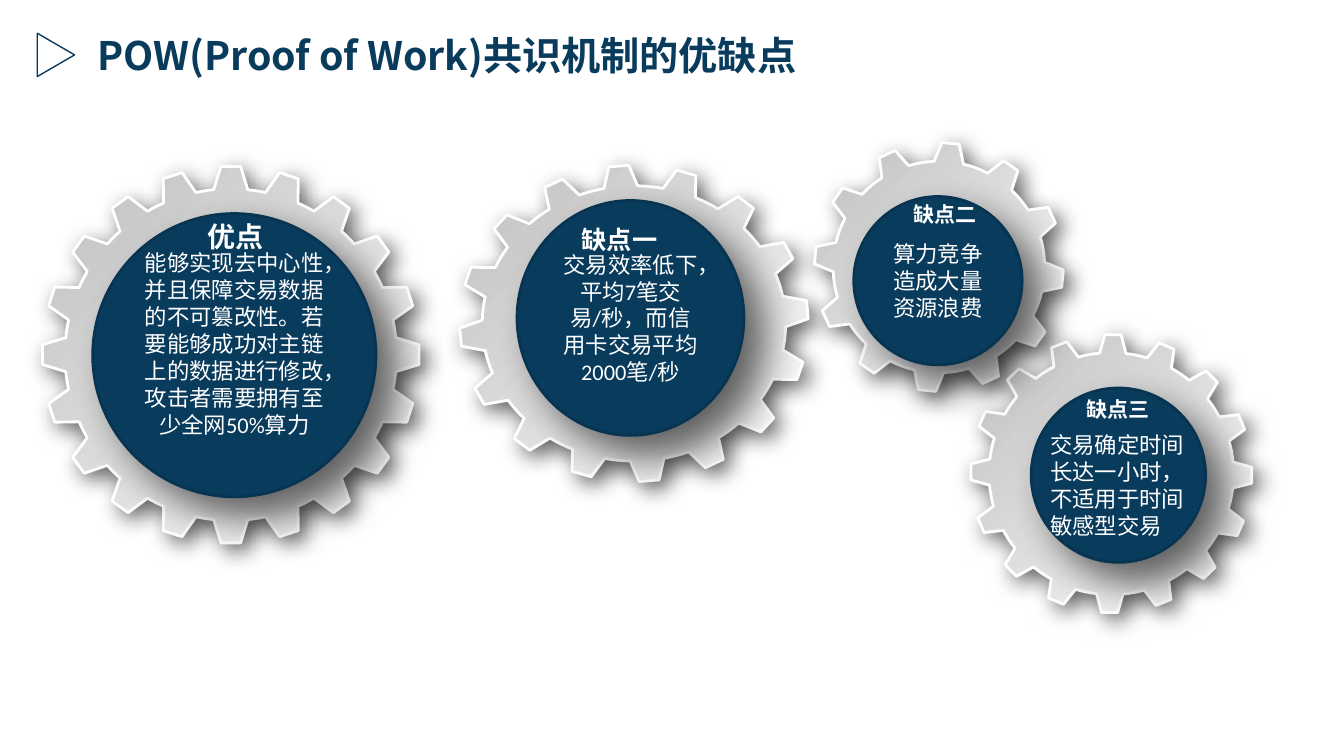
from dataclasses import dataclass
from math import cos, radians, sin

from lxml import etree
from pptx import Presentation
from pptx.dml.color import RGBColor
from pptx.enum.shapes import MSO_SHAPE
from pptx.enum.text import MSO_ANCHOR, MSO_AUTO_SIZE, PP_ALIGN
from pptx.oxml.ns import qn
from pptx.util import Inches, Pt

OVAL = MSO_SHAPE.OVAL
TRIANGLE = MSO_SHAPE.ISOSCELES_TRIANGLE
MIDDLE = MSO_ANCHOR.MIDDLE
GROW = MSO_AUTO_SIZE.SHAPE_TO_FIT_TEXT
LEFT = PP_ALIGN.LEFT
CENTER = PP_ALIGN.CENTER

COLUMNS = 160
SLIDE_WIDTH = Inches(13.33)
SLIDE_HEIGHT = Inches(7.5)
CELL = SLIDE_WIDTH / COLUMNS
ARC_STEPS = 4


@dataclass(frozen=True)
class Theme:
    navy: str = "093B5C"
    navy_edge: str = "083451"
    white: str = "FFFFFF"
    silver: str = "BFBFBF"
    black: str = "000000"
    body_font: str = "Calibri"
    heading_font: str = "Noto Sans CJK SC"
    title_size: int = 28
    body_size: int = 16


THEME = Theme()


@dataclass(frozen=True)
class Gear:
    center: tuple
    radii: tuple
    root_share: float
    teeth: int
    turn: float
    tip_half_angle: float
    root_half_angle: float


GEARS = (
    Gear((27.48, 42.24), (22.44, 22.44), 0.88, 20, 0, 3, 5.9),
    Gear((75.48, 38.52), (20.76, 18.84), 0.87, 16, -5, 3.3, 6.4),
    Gear((111.78, 31.8), (14.82, 14.82), 0.85, 12, 5.4, 4, 8),
    Gear((132.3, 56.4), (16.74, 16.56), 0.87, 16, 0.7, 3.3, 6.2),
)

DISKS = (
    ((11.04, 25.44, 33.72, 33.72), "能够实现去中心性，并且保障交易数据的不可篡改性。若要能够成功对主链上的数据进行修改，攻击者需要拥有至少全网50%算力", 0.28),
    ((61.56, 23.88, 27, 27.96), "交易效率低下，平均7笔交易/秒，而信用卡交易平均2000笔/秒", 0.05),
    ((101.64, 23.4, 20.04, 20.04), "算力竞争造成大量资源浪费", 0.05),
    ((122.76, 46.2, 20.76, 20.76), "", 0.05),
)

HEADINGS = (
    ((16.2, 25.56, 23.64, 5.28), "优点", 20),
    ((61.92, 26.16, 23.64, 4.8), "缺点一", 18),
    ((102.24, 23.4, 20.64, 4.2), "缺点二", 15),
    ((122.76, 46.68, 20.64, 4.2), "缺点三", 15),
)


def cells(*counts):
    return [round(count * CELL) for count in counts]


def color(value):
    return RGBColor.from_string(value)


def set_line(shape, value, width):
    shape.line.color.rgb = color(value)
    shape.line.width = Pt(width)


def set_shadow(shape, blur, distance):
    shape.shadow.inherit = False
    effects = shape.element.spPr.find(qn("a:effectLst"))
    shadow = etree.SubElement(
        effects, qn("a:outerShdw"), blurRad=str(Pt(blur)), dist=str(Pt(distance)),
        dir="2700000", algn="tl", rotWithShape="0")
    shade = etree.SubElement(shadow, qn("a:srgbClr"), val=THEME.black)
    etree.SubElement(shade, qn("a:alpha"), val="60000")


def write(shape, text, size, font_name, text_color, bold=False, alignment=CENTER):
    frame = shape.text_frame
    frame.word_wrap = True
    frame.text = text
    paragraph = frame.paragraphs[0]
    paragraph.alignment = alignment
    for run in paragraph.runs:
        run.font.size = Pt(size)
        run.font.bold = bold
        run.font.color.rgb = color(text_color)
        run.font.name = font_name
        etree.SubElement(run.font._element, qn("a:ea"), typeface=THEME.heading_font)


def gear_outline(gear):
    pitch = 360 / gear.teeth
    gap = pitch - 2 * gear.root_half_angle

    def point(angle, share):
        turn = radians(angle)
        return cells(gear.center[0] + gear.radii[0] * share * sin(turn),
                     gear.center[1] - gear.radii[1] * share * cos(turn))

    points = []
    for tooth in range(gear.teeth):
        middle = gear.turn + tooth * pitch
        points += [point(middle - gear.tip_half_angle, 1),
                   point(middle + gear.tip_half_angle, 1)]
        points += [point(middle + gear.root_half_angle + gap * step / ARC_STEPS, gear.root_share)
                   for step in range(ARC_STEPS + 1)]
    return points


def add_gear(slide, gear):
    points = gear_outline(gear)
    builder = slide.shapes.build_freeform(*points[0])
    builder.add_line_segments(points[1:], close=True)
    shape = builder.convert_to_shape()
    shape.fill.gradient()
    shape.fill.gradient_angle = 135
    for stop, value in zip(shape.fill.gradient_stops, (THEME.white, THEME.silver)):
        stop.color.rgb = color(value)
    set_line(shape, THEME.white, 2)
    set_shadow(shape, 16, 6)


def add_disk(slide, box, text, bottom_margin):
    shape = slide.shapes.add_shape(OVAL, *cells(*box))
    shape.fill.solid()
    shape.fill.fore_color.rgb = color(THEME.navy)
    set_line(shape, THEME.navy_edge, 2)
    set_shadow(shape, 30, 20)
    if text:
        shape.text_frame.vertical_anchor = MIDDLE
        shape.text_frame.margin_bottom = Inches(bottom_margin)
        write(shape, text, THEME.body_size, THEME.body_font, THEME.white)


def add_text(slide, box, text, size, font_name, text_color, bold, alignment):
    shape = slide.shapes.add_textbox(*cells(*box))
    shape.text_frame.auto_size = GROW
    write(shape, text, size, font_name, text_color, bold, alignment)


def add_title_marker(slide, box):
    shape = slide.shapes.add_shape(TRIANGLE, *cells(*box))
    shape.rotation = 90
    shape.fill.background()
    set_line(shape, THEME.navy, 1)
    shape.shadow.inherit = False


def main():
    presentation = Presentation()
    presentation.slide_width = SLIDE_WIDTH
    presentation.slide_height = SLIDE_HEIGHT
    slide = presentation.slides.add_slide(presentation.slide_layouts[6])
    for gear in GEARS:
        add_gear(slide, gear)
    for box, text, bottom_margin in DISKS:
        add_disk(slide, box, text, bottom_margin)
    for box, text, size in HEADINGS:
        add_text(slide, box, text, size, THEME.heading_font, THEME.white, True, CENTER)
    add_text(slide, (123.84, 50.76, 18.48, 14.16), "交易确定时间长达一小时，不适用于时间敏感型交易",
             THEME.body_size, THEME.body_font, THEME.white, False, LEFT)
    add_text(slide, (10.44, 3.12, 97.08, 6.84), "POW(Proof of Work)共识机制的优缺点",
             THEME.title_size, THEME.heading_font, THEME.navy, True, LEFT)
    add_title_marker(slide, (4.08, 4.32, 5.16, 4.44))
    presentation.save("out.pptx")


if __name__ == "__main__":
    main()
